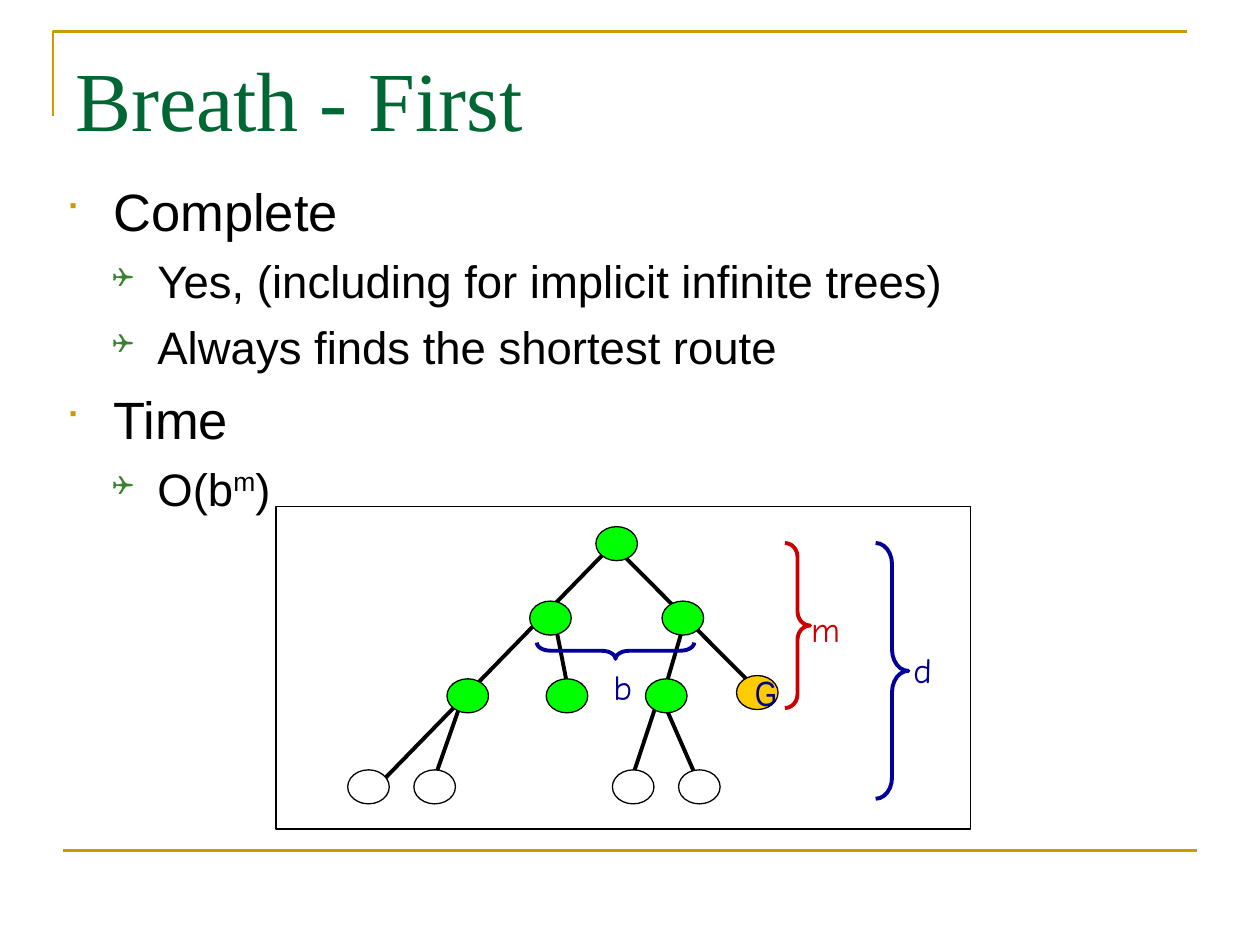
from typing import NamedTuple
from lxml.etree import SubElement
from pptx import Presentation
from pptx.dml.color import RGBColor
from pptx.enum.shapes import MSO_CONNECTOR, MSO_SHAPE
from pptx.enum.text import MSO_ANCHOR, PP_ALIGN
from pptx.oxml.ns import qn
from pptx.util import Inches, Pt

WIDE, HIGH = 10, 7.5
UNIT = 0.1313            # pitch of the tree grid
LEFT, TOP = 2.925, 4.315  # grid origin: leftmost leaf column, root row
GOLD, GREEN, NAVY, RED = "CC9900", "00FF00", "000099", "CC0000"
BLACK, WHITE = "000000", "FFFFFF"


class Node(NamedTuple):
    col: float
    row: float
    fill: str = GREEN
    label: str = ""


class Edge(NamedTuple):
    col: float
    row: float
    to_col: float
    to_row: float


class Brace(NamedTuple):
    box: tuple
    bend: float
    color: str
    label: str
    spot: tuple
    turn: int = 0


class Level(NamedTuple):
    mark: str
    color: str
    scale: int
    indent: float
    hang: float
    size: int
    gap: float


LEVELS = [Level("■", GOLD, 65, 0.38, 0.38, 30, 7.5),
          Level("❑", "3B812F", 60, 0.73, 0.36, 26, 6.5)]
LINES = [(0, ["Complete"]),
         (1, ["Yes, (including for implicit infinite trees)"]),
         (1, ["Always finds the shortest route"]),
         (0, ["Time"]),
         (1, ["O(b", "m", ")"])]  # every second run is raised

EDGES = [Edge(14.7, 0, 23.65, 9), Edge(17.7, 9.3, 20.2, 15),
         Edge(17.7, 8.8, 15.65, 15), Edge(5.7, 9.3, 3.7, 15),
         Edge(19.2, 4.4, 17.7, 9.5), Edge(11.2, 4.4, 12.2, 9.5),
         Edge(15.2, -0.4, 0.2, 15)]
NODES = [Node(15, 0), Node(11, 4.5), Node(19, 4.5),
         *(Node(col, 9.2) for col in (6, 12, 18)),
         *(Node(col, 14.7, WHITE) for col in (0, 4, 16, 20)),
         Node(23.5, 9, "FFCC00", "G")]
BRACES = [Brace((6.95, 4.31, 0.26, 2.03), 0.65, NAVY, "d", (7.15, 5.1, 0.35, 0.44)),
          Brace((4.82, 4.54, 0.13, 1.25), 0.85, NAVY, "b", (4.77, 5.23, 0.35, 0.44), 90),
          Brace((6.23, 4.31, 0.2, 1.31), 0.55, RED, "m", (6.34, 4.77, 0.43, 0.44))]


def tint(value: str) -> RGBColor:
    return RGBColor.from_string(value)


def spread(box: tuple) -> list:
    return [Inches(v) for v in box]


def stroke(item, color: str, width: float) -> None:
    item.line.color.rgb = tint(color)
    item.line.width = Pt(width)


def write(para, text: str, font: str, size: float, color: str):
    run = para.add_run()
    run.text = text
    for key, value in {"name": font, "size": Pt(size)}.items():
        setattr(run.font, key, value)
    run.font.color.rgb = tint(color)
    return run


def text_box(slide, box: tuple, **look):
    frame = slide.shapes.add_textbox(*spread(box)).text_frame
    for key, value in look.items():
        setattr(frame, key, value)
    return frame


def add_line(slide, start: tuple, end: tuple, color: str, width: float) -> None:
    line = slide.shapes.add_connector(MSO_CONNECTOR.STRAIGHT, *spread(start + end))
    stroke(line, color, width)
    SubElement(line._element.spPr, qn("a:effectLst"))


def add_solid(slide, kind, box: tuple, fill: str):
    shape = slide.shapes.add_shape(kind, *spread(box))
    shape.shadow.inherit = False
    shape.fill.solid()
    shape.fill.fore_color.rgb = tint(fill)
    stroke(shape, BLACK, 0.75)
    return shape


def spot(col: float, row: float) -> tuple:
    return LEFT + col * UNIT, TOP + row * UNIT


def add_node(slide, node: Node) -> None:
    x, y = spot(node.col, node.row)
    shape = add_solid(slide, MSO_SHAPE.OVAL, (x - 0.165, y - 0.135, 0.33, 0.27), node.fill)
    if node.label:
        frame = shape.text_frame
        frame.word_wrap = False
        frame.vertical_anchor = MSO_ANCHOR.MIDDLE
        para = frame.paragraphs[0]
        para.alignment = PP_ALIGN.LEFT
        write(para, node.label, "Arial Narrow", 20, NAVY)


def add_brace(slide, brace: Brace) -> None:
    shape = slide.shapes.add_shape(MSO_SHAPE.RIGHT_BRACE, *spread(brace.box))
    shape.shadow.inherit = False
    shape.fill.background()
    shape.adjustments[0] = brace.bend
    shape.rotation = brace.turn
    stroke(shape, brace.color, 2.25)
    frame = text_box(slide, brace.spot, word_wrap=False)
    write(frame.paragraphs[0], brace.label, "Comic Neue", 20, brace.color)


def add_bullet(para, level: Level) -> None:
    props = para._p.get_or_add_pPr()
    props.set("marL", str(Inches(level.indent)))
    props.set("indent", str(-Inches(level.hang)))
    color = SubElement(props, qn("a:buClr"))
    SubElement(color, qn("a:srgbClr"), val=level.color)
    SubElement(props, qn("a:buSzPct"), val=str(level.scale * 1000))
    SubElement(props, qn("a:buFont"), typeface="Wingdings")
    SubElement(props, qn("a:buChar"), char=level.mark)


def add_body(slide) -> None:
    frame = text_box(slide, (0.52, 1.42, 9, 2.67), word_wrap=True, margin_left=0,
                     margin_top=0, margin_right=0, margin_bottom=0)
    for i, (depth, parts) in enumerate(LINES):
        para = frame.add_paragraph() if i else frame.paragraphs[0]
        level = LEVELS[depth]
        para.level = depth
        add_bullet(para, level)
        para.space_before = Pt(level.gap if i else 0)
        for j, part in enumerate(parts):
            run = write(para, part, "Arial", level.size, BLACK)
            if j % 2:
                run.font._element.set("baseline", "33000")


def main() -> None:
    deck = Presentation()
    deck.slide_width, deck.slide_height = Inches(WIDE), Inches(HIGH)
    slide = deck.slides.add_slide(deck.slide_layouts[6])

    # Corner rule and foot rule
    pen = slide.shapes.build_freeform(Inches(0.42), Inches(0.92))
    pen.add_line_segments([spread((0.42, 0.25)), spread((9.42, 0.25))], close=False)
    corner = pen.convert_to_shape()
    corner.shadow.inherit = False
    corner.fill.background()
    stroke(corner, GOLD, 1.5)
    foot = HIGH * 0.9
    add_line(slide, (WIDE * 0.05, foot), (WIDE * 0.95, foot), GOLD, 1.5)

    # Title and bullets
    title = text_box(slide, (0.5, 0.3, 9, 0.95), word_wrap=True,
                     vertical_anchor=MSO_ANCHOR.BOTTOM, margin_bottom=Inches(0.07))
    write(title.paragraphs[0], "Breath - First", "Times New Roman", 48, "006633")
    add_body(slide)

    # Search tree in its frame
    add_solid(slide, MSO_SHAPE.RECTANGLE, (2.19, 4.02, 5.51, 2.56), WHITE)
    for edge in EDGES:
        add_line(slide, spot(*edge[:2]), spot(*edge[2:]), BLACK, 2.25)
    for node in NODES:
        add_node(slide, node)
    for brace in BRACES:
        add_brace(slide, brace)

    deck.save("out.pptx")


if __name__ == "__main__":
    main()
